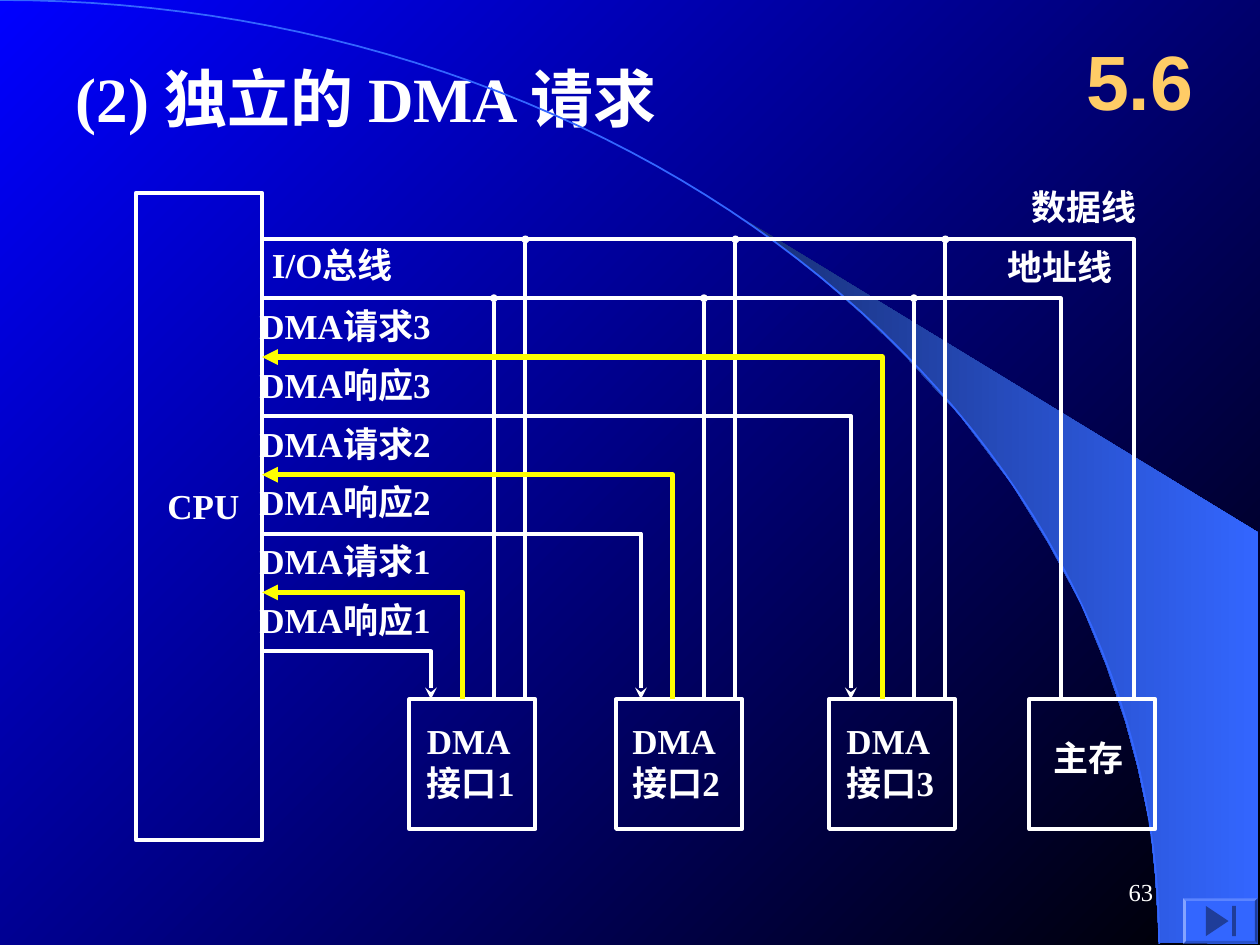
from math import cos, pi, sin

from lxml import etree
from pptx import Presentation
from pptx.dml.color import RGBColor
from pptx.enum.shapes import MSO_CONNECTOR, MSO_SHAPE
from pptx.enum.text import MSO_ANCHOR, MSO_AUTO_SIZE, PP_ALIGN
from pptx.oxml.ns import qn
from pptx.util import Inches, Pt

RECT, BEVEL, TRIANGLE = MSO_SHAPE.RECTANGLE, MSO_SHAPE.BEVEL, MSO_SHAPE.ISOSCELES_TRIANGLE
STRAIGHT = MSO_CONNECTOR.STRAIGHT
LEFT, CENTER, RIGHT = PP_ALIGN.LEFT, PP_ALIGN.CENTER, PP_ALIGN.RIGHT
TOP, MIDDLE = MSO_ANCHOR.TOP, MSO_ANCHOR.MIDDLE
FIT, FIXED = MSO_AUTO_SIZE.SHAPE_TO_FIT_TEXT, MSO_AUTO_SIZE.NONE

WHITE, YELLOW, GOLD = "FFFFFF", "FFFF00", "FFCC66"
BLUE, BLACK, SKY, NAVY, SHADE = "0000FF", "000000", "3366FF", "182F76", "1F3D99"
SERIF, SANS = "Times New Roman", "Arial"

TITLE = "(2) 独立的 DMA 请求"
SECTION, PAGE = "5.6", "63"
INTERFACES = [("1", 3.25, 3.29), ("2", 4.89, 4.92), ("3", 6.58, 6.62)]
LABELS = [
    ("CPU", 1.23, 3.8, 0.8),
    ("主存", 8.26, 5.8, 0.85),
    ("I/O总线", 2.06, 1.88, 1.32),
    ("数据线", 8.09, 1.42, 1.13),
    ("地址线", 7.9, 1.9, 1.13),
]
SWOOSH = [
    (9.2, 7.48), (9.99, 7.49), (9.99, 4.23), (5.89, 1.73), (6.24, 1.99), (6.53, 2.22),
    (6.85, 2.5), (7.16, 2.8), (7.62, 3.3), (8.03, 3.84), (8.32, 4.31), (8.58, 4.79),
    (8.78, 5.28), (8.93, 5.72), (9.03, 6.09), (9.13, 6.56), (9.17, 6.96),
]
ARC_W, ARC_H, ARC_STEPS = 9.2, 7.49, 60

CPU_LEFT, CPU_RIGHT = 1.08, 2.08
BOX_TOP, BOX_W, BOX_H = 5.55, 1, 1.03
MEMORY_LEFT, ADDRESS_X, DATA_X = 8.17, 8.42, 9
WIRE_X, WIRE_GAP, GROUP_GAP = 3.42, 0.25, 5 / 3
LANE_TOP, LANE_GAP = 1.9, 0.467
LABEL_X, LABEL_W, LABEL_H = 1.96, 1.75, 0.44


def rgb(color):
    return RGBColor.from_string(color)


def lane(i):
    return LANE_TOP + LANE_GAP * i


def gradient(fill, start, end, angle):
    fill.gradient()
    fill.gradient_angle = angle
    for stop, color, position in zip(fill.gradient_stops, (start, end), (0, 1)):
        stop.color.rgb = rgb(color)
        stop.position = position


def style_line(sp, color, width, end=None, kind=None, size="med"):
    sp.line.color.rgb = rgb(color)
    sp.line.width = Pt(width)
    if end:
        ln = sp.line._get_or_add_ln()
        etree.SubElement(ln, qn(f"a:{end}End"), type=kind, w=size, len=size)


def freeform(points, close=False):
    pts = [(Inches(x), Inches(y)) for x, y in points]
    builder = shapes.build_freeform(*pts[0])
    builder.add_line_segments(pts[1:], close=close)
    sp = builder.convert_to_shape()
    sp.shadow.inherit = False
    sp.fill.background()
    return sp


def shape(kind, x, y, w, h, fill=None):
    sp = shapes.add_shape(kind, Inches(x), Inches(y), Inches(w), Inches(h))
    sp.shadow.inherit = False
    if fill:
        sp.fill.solid()
        sp.fill.fore_color.rgb = rgb(fill)
        sp.line.fill.background()
    else:
        sp.fill.background()
        style_line(sp, WHITE, 2.25)
    return sp


def wire(x, y, color=WHITE, width=2.25, end=None, kind=None):
    sp = freeform([(CPU_RIGHT, y), (x, y), (x, BOX_TOP)])
    style_line(sp, color, width, end, kind)


def drop(x, y):
    sp = shapes.add_connector(STRAIGHT, Inches(x), Inches(BOX_TOP), Inches(x), Inches(y))
    etree.SubElement(sp._element.spPr, qn("a:effectLst"))
    style_line(sp, WHITE, 2.25, "tail", "oval", "sm")


def write(sp, text, size=20, font=SERIF, color=WHITE, bold=True, align=LEFT,
          anchor=TOP, wrap=False, fit=FIT):
    tf = sp.text_frame
    tf.text = text
    tf.word_wrap = wrap
    tf.auto_size = fit
    tf.vertical_anchor = anchor
    for p in tf.paragraphs:
        p.alignment = align
        p.font.name, p.font.size, p.font.bold = font, Pt(size), bold
        p.font.color.rgb = rgb(color)


def textbox(text, x, y, w, h=LABEL_H, **style):
    write(shapes.add_textbox(Inches(x), Inches(y), Inches(w), Inches(h)), text, **style)


prs = Presentation()
prs.slide_width, prs.slide_height = Inches(10), Inches(7.5)
s = prs.slides.add_slide(prs.slide_layouts[5])
shapes = s.shapes
gradient(s.background.fill, BLUE, BLACK, 315)

swoosh = freeform(SWOOSH, close=True)
gradient(swoosh.fill, NAVY, SKY, 0)
swoosh.line.fill.background()
angles = [pi / 2 * i / ARC_STEPS for i in range(ARC_STEPS + 1)]
arc = freeform([(ARC_W * sin(a), ARC_H * (1 - cos(a))) for a in angles])
style_line(arc, SKY, 1)

title = shapes.title
title.left, title.top, title.width, title.height = map(Inches, (0.5, 0.42, 5.25, 0.7))
write(title, TITLE, size=36, wrap=True)
textbox(SECTION, 8.42, 0.17, 1.25, 0.92, size=44, font=SANS, color=GOLD,
        align=CENTER, anchor=MIDDLE, wrap=True, fit=FIXED)

shape(RECT, CPU_LEFT, 1.53, CPU_RIGHT - CPU_LEFT, 5.14)
shape(RECT, MEMORY_LEFT, BOX_TOP, BOX_W, BOX_H)
wire(DATA_X, lane(0))
wire(ADDRESS_X, lane(1))

for i, (number, box_x, text_x) in enumerate(INTERFACES):
    shape(RECT, box_x, BOX_TOP, BOX_W, BOX_H)
    textbox(f"DMA\n接口{number}", text_x, 5.66, 1, 0.77)
    response, request, address, data = (
        WIRE_X + GROUP_GAP * i + WIRE_GAP * k for k in range(4))
    row = 7 - 2 * i
    wire(response, lane(row), end="tail", kind="stealth")
    wire(request, lane(row - 1), YELLOW, 3, "head", "triangle")
    drop(address, lane(1))
    drop(data, lane(0))
    textbox(f"DMA响应{number}", LABEL_X, lane(row - 1), LABEL_W)
    textbox(f"DMA请求{number}", LABEL_X, lane(row - 2), LABEL_W)

for text, x, y, w in LABELS:
    textbox(text, x, y, w)

button = shape(BEVEL, 9.39, 7.13, 0.59, 0.36, SKY)
button.adjustments[0] = 0.06
arrow = shape(TRIANGLE, 9.54, 7.22, 0.24, 0.18, SHADE)
arrow.rotation = 90
shape(RECT, 9.78, 7.19, 0.03, 0.24, SHADE)
textbox(PAGE, 7.17, 6.83, 2.08, 0.5, size=14, bold=False, align=RIGHT,
        anchor=MIDDLE, wrap=True, fit=FIXED)

prs.save("out.pptx")
